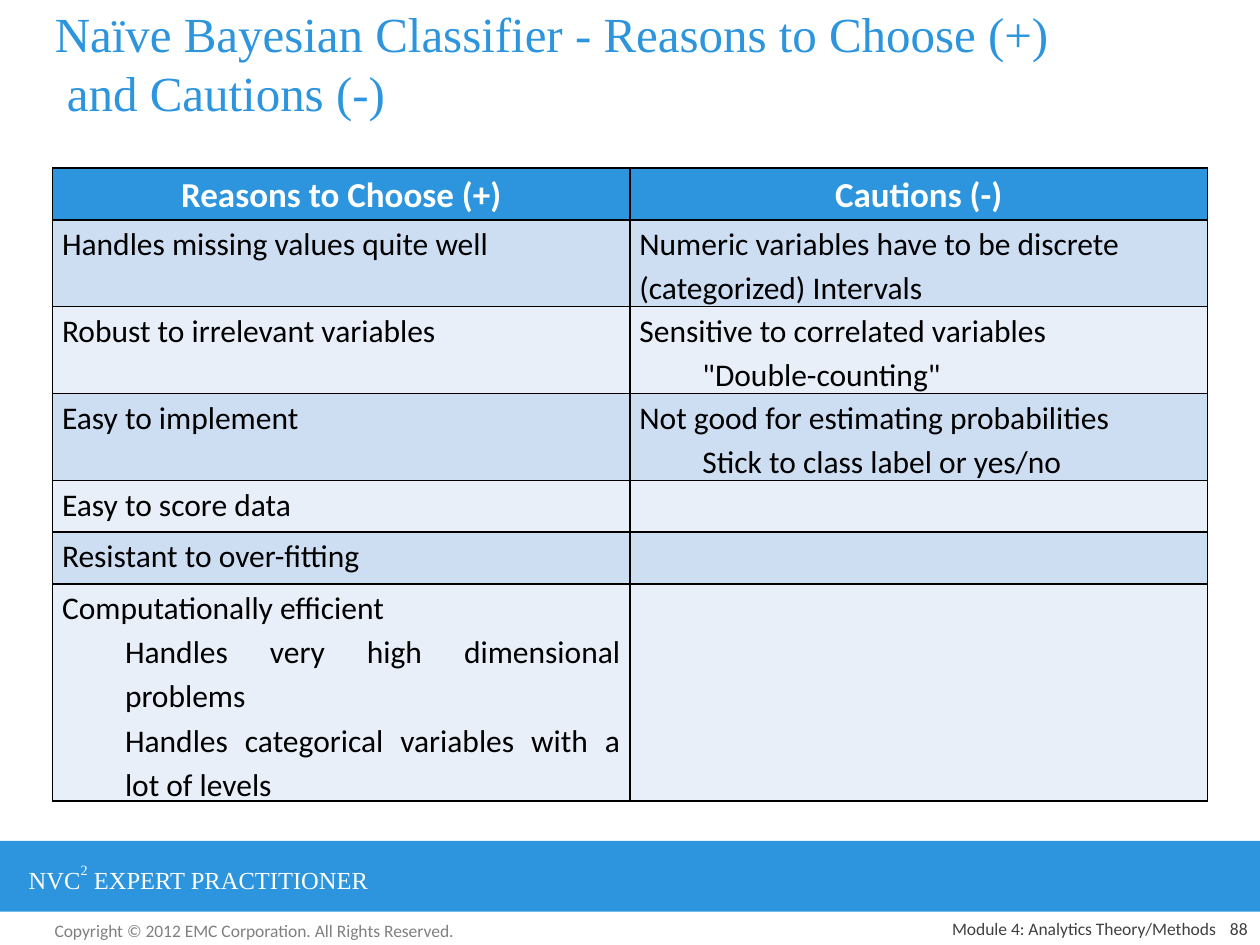
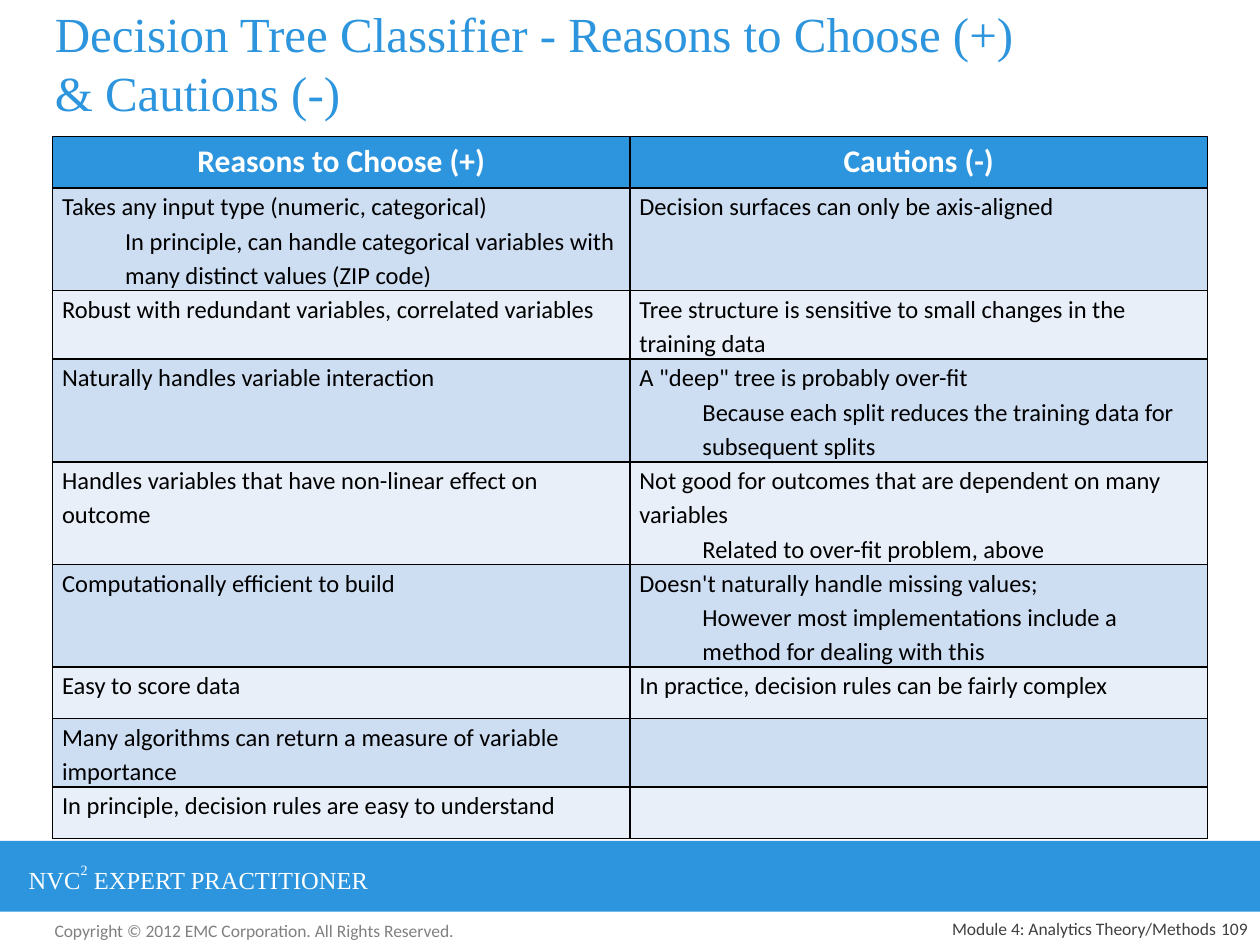
"""Builds two slides comparing reasons to choose and cautions for classifiers."""
from lxml import etree
from pptx import Presentation
from pptx.dml.color import RGBColor
from pptx.enum.shapes import MSO_SHAPE
from pptx.enum.text import MSO_ANCHOR, MSO_AUTO_SIZE, PP_ALIGN
from pptx.oxml.ns import qn
from pptx.util import Cm, Pt

LEFT, CENTER, RIGHT, JUSTIFY = PP_ALIGN.LEFT, PP_ALIGN.CENTER, PP_ALIGN.RIGHT, PP_ALIGN.JUSTIFY
TOP, MIDDLE, BOTTOM = MSO_ANCHOR.TOP, MSO_ANCHOR.MIDDLE, MSO_ANCHOR.BOTTOM
NO_AUTOSIZE = MSO_AUTO_SIZE.NONE
RECT = MSO_SHAPE.RECTANGLE

COLORS = {
    "blue": "2C95DD", "odd_row": "CDDDF2", "even_row": "E8EFF9", "white": "FFFFFF",
    "black": "000000", "copyright": "808080", "footer": "404040",
}
SANS, SERIF = "Calibri", "Times New Roman"
HEADERS = ("Reasons to Choose (+)", "Cautions (-)")
HEADER_HEIGHT = 1.04

BAYES_ROWS = [
    (1.75, ["Handles missing values quite well"],
     ["Numeric variables have to be discrete (categorized) Intervals"]),
    (1.75, ["Robust to irrelevant variables"],
     ["Sensitive to correlated variables", '"Double-counting"']),
    (1.75, ["Easy to implement"],
     ["Not good for estimating probabilities", "Stick to class label or yes/no"]),
    (1.04, ["Easy to score data"], []),
    (1.04, ["Resistant to over-fitting"], []),
    (4.37, ["Computationally efficient", "Handles very high dimensional problems",
            "Handles categorical variables with a lot of levels"], []),
]
TREE_ROWS = [
    (2.07, ["Takes any input type (numeric, categorical)",
            "In principle, can handle categorical variables with many distinct values (ZIP code)"],
     ["Decision surfaces can only be axis-aligned"]),
    (1.38, ["Robust with redundant variables, correlated variables"],
     ["Tree structure is sensitive to small changes in the training data"]),
    (2.07, ["Naturally handles variable interaction"],
     ['A "deep" tree is probably over-fit',
      "Because each split reduces the training data for subsequent splits"]),
    (2.07, ["Handles variables that have non-linear effect on outcome"],
     ["Not good for outcomes that are dependent on many variables",
      "Related to over-fit problem, above"]),
    (2.07, ["Computationally efficient to build"],
     ["Doesn't naturally handle missing values;",
      "However most implementations include a method for dealing with this"]),
    (1.04, ["Easy to score data"], ["In practice, decision rules can be fairly complex"]),
    (1.38, ["Many algorithms can return a measure of variable importance"], []),
    (1.04, ["In principle, decision rules are easy to understand"], []),
]


def rgb(name):
    return RGBColor.from_string(COLORS[name])


def write(p, text, font=SANS, size=10, color="black", bold=False, align=LEFT,
          spacing=None, indent=0, raised=0):
    p.alignment = align
    if spacing:
        p.line_spacing = spacing
    if indent:
        p._p.get_or_add_pPr().set("marL", str(Cm(indent)))
    r = p.add_run()
    r.text = text
    r.font.name, r.font.size, r.font.bold = font, Pt(size), bold
    r.font.color.rgb = rgb(color)
    if raised:
        r._r.get_or_add_rPr().set("baseline", str(raised * 1000))


def add_box(s, left, top, width, height, anchor=TOP):
    tf = s.shapes.add_textbox(Cm(left), Cm(top), Cm(width), Cm(height)).text_frame
    tf.word_wrap = True
    tf.vertical_anchor = anchor
    return tf.paragraphs[0]


def add_title(s, lines):
    sp = s.shapes.title
    sp.left, sp.top, sp.width, sp.height = Cm(0.85), Cm(0.2), Cm(23.5), Cm(2.12)
    tf = sp.text_frame
    tf.auto_size, tf.vertical_anchor = NO_AUTOSIZE, MIDDLE
    p = tf.paragraphs[0]
    for i, line in enumerate(lines):
        if i:
            p.add_line_break()
        write(p, line, font=SERIF, size=28, color="blue")


def add_footer(s, number):
    p = add_box(s, 0.85, 18.42, 8.7, 0.68)
    write(p, "Copyright © 2012 EMC Corporation. All Rights Reserved.", color="copyright")
    band = s.shapes.add_shape(RECT, 0, Cm(16.95), Cm(25.4), Cm(1.43))
    band.shadow.inherit = False
    band.fill.solid()
    band.fill.fore_color.rgb = rgb("blue")
    band.line.fill.background()
    p = add_box(s, 0.33, 17.25, 9.4, 0.86)
    for text, raised in (("NVC", 0), ("2", 56), (" EXPERT PRACTITIONER", 0)):
        write(p, text, font=SERIF, size=14, color="white", raised=raised)
    for left, width, text in ((13.13, 11.63, "Module 4: Analytics Theory/Methods"),
                              (24.13, 1.27, str(number))):
        p = add_box(s, left, 18.42, width, 0.63, BOTTOM)
        write(p, text, color="footer", align=RIGHT)


def add_borders(cell):
    tcPr = cell._tc.get_or_add_tcPr()
    for side in ("lnL", "lnR", "lnT", "lnB"):
        ln = etree.SubElement(tcPr, qn(f"a:{side}"), w=str(Pt(1)))
        fill = etree.SubElement(ln, qn("a:solidFill"))
        etree.SubElement(fill, qn("a:srgbClr"), val=COLORS["black"])


def fill_cell(cell, lines, fill, **fmt):
    """Fill a cell, indenting every line after the first."""
    add_borders(cell)
    cell.fill.solid()
    cell.fill.fore_color.rgb = rgb(fill)
    if lines:
        cell.margin_left = cell.margin_right = Cm(0.19)
        cell.margin_top = cell.margin_bottom = 0
    tf = cell.text_frame
    for i, line in enumerate(lines):
        p = tf.add_paragraph() if i else tf.paragraphs[0]
        write(p, line, spacing=1.15, indent=1.27 if i else 0, **fmt)


def add_comparison(s, top, rows, head_size, size, reasons_align):
    heights = [HEADER_HEIGHT] + [row[0] for row in rows]
    table = s.shapes.add_table(len(heights), 2, Cm(1.06), Cm(top), Cm(23.28),
                               Cm(sum(heights))).table
    for row, height in zip(table.rows, heights):
        row.height = Cm(height)
    for col, header in enumerate(HEADERS):
        fill_cell(table.cell(0, col), [header], "blue", size=head_size,
                  color="white", bold=True, align=CENTER)
    for i, (_, *cells) in enumerate(rows, 1):
        fill = "odd_row" if i % 2 else "even_row"
        for col, (lines, align) in enumerate(zip(cells, (reasons_align, LEFT))):
            fill_cell(table.cell(i, col), lines, fill, size=size, align=align)


def add_slide(prs, number, title, top, rows, head_size, size, reasons_align=LEFT):
    s = prs.slides.add_slide(prs.slide_layouts[5])
    add_footer(s, number)
    add_comparison(s, top, rows, head_size, size, reasons_align)
    add_title(s, title)


def main():
    prs = Presentation()
    prs.slide_width, prs.slide_height = Cm(25.4), Cm(19.05)
    add_slide(prs, 88, ("Naïve Bayesian Classifier - Reasons to Choose (+)", " and Cautions (-)"),
              3.39, BAYES_ROWS, head_size=20, size=18, reasons_align=JUSTIFY)
    add_slide(prs, 109, ("Decision Tree Classifier - Reasons to Choose (+)", "& Cautions (-)"),
              2.75, TREE_ROWS, head_size=18, size=14)
    prs.save("out.pptx")


if __name__ == "__main__":
    main()
